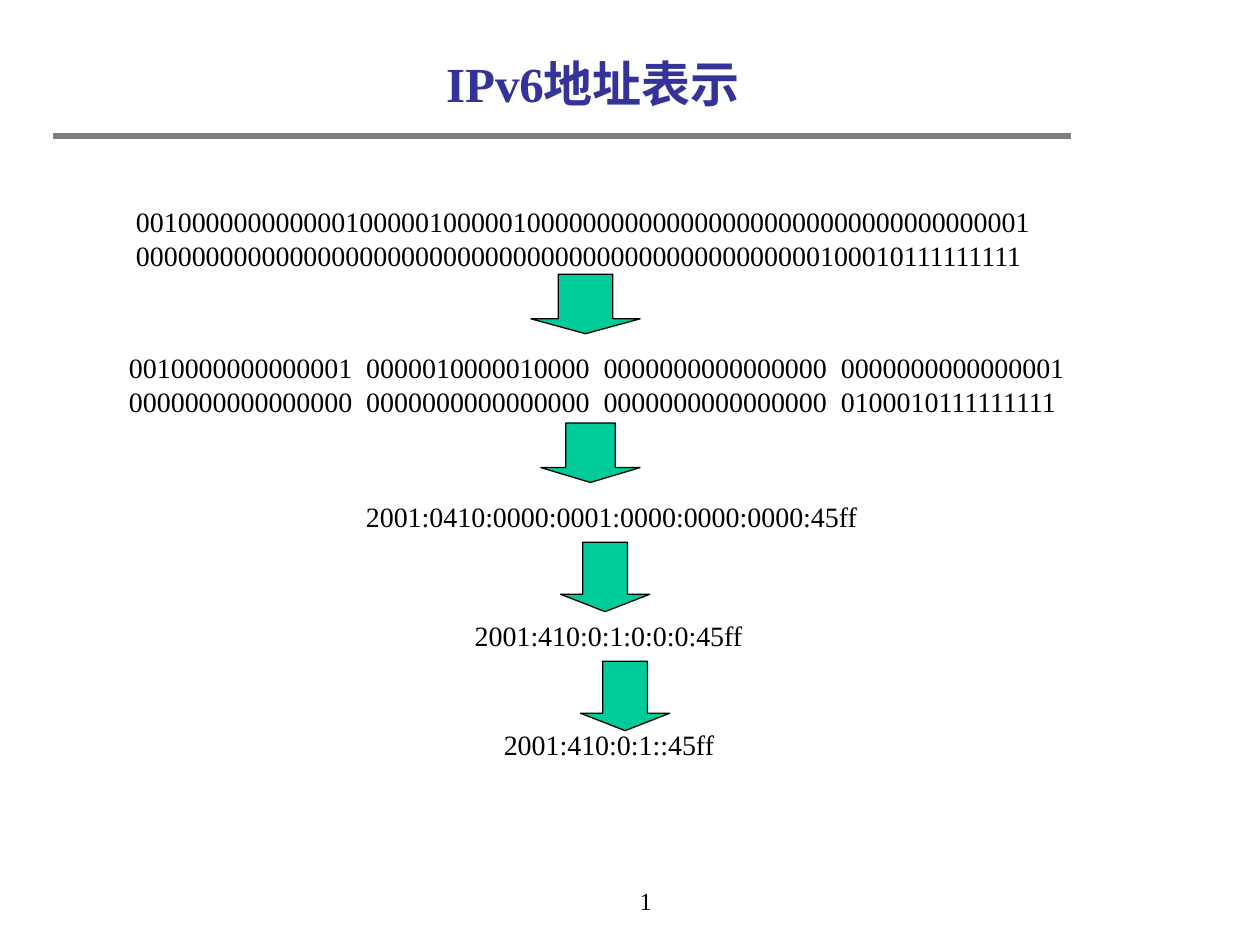
from lxml.etree import SubElement
from pptx import Presentation
from pptx.dml.color import RGBColor
from pptx.enum.shapes import MSO_CONNECTOR, MSO_SHAPE
from pptx.enum.text import MSO_ANCHOR, MSO_AUTO_SIZE, PP_ALIGN
from pptx.oxml import parse_xml
from pptx.oxml.ns import nsdecls, qn
from pptx.util import Pt

FONT = "Times New Roman"
BLACK = RGBColor(0x00, 0x00, 0x00)
NAVY = RGBColor(0x33, 0x33, 0x99)
GRAY = RGBColor(0x80, 0x80, 0x80)
GREEN = RGBColor(0x00, 0xCC, 0x99)

GROUP_PITCH = 135.6  # distance between the 16-bit groups
TEXT_HEIGHT = 26.6
TITLE_BOX = (59.8, 20.2, 558, 54)
RULE_BOX = (30.2, 77.8, 581.8, 0)
NUMBER_BOX = (255, 502.6, 228, 37.4)

# Each stage of the notation: box, lines of text
STAGES = [
    ((70.6, 113, 538.6, 46),
     ["0010000000000001000001000001000000000000000000000000000000000001",
      "0000000000000000000000000000000000000000000000000100010111111111"]),
    ((66.6, 196.6, 550, 46),
     ["0010000000000001\t0000010000010000\t0000000000000000\t0000000000000001",
      "0000000000000000\t0000000000000000\t0000000000000000\t0100010111111111"]),
    ((202, 281.5, 295.2, TEXT_HEIGHT), ["2001:0410:0000:0001:0000:0000:0000:45ff"]),
    ((264.2, 349.4, 167.8, TEXT_HEIGHT), ["2001:410:0:1:0:0:0:45ff"]),
    ((280.8, 411.8, 134.6, TEXT_HEIGHT), ["2001:410:0:1::45ff"]),
]
ARROW_BOXES = [
    (303.4, 156.7, 62.4, 34),
    (309.1, 241.7, 56.7, 34),
    (320.3, 309.8, 51, 39.7),
    (331.7, 377.8, 51, 39.7),
]


def set_font(paragraph, size, color=BLACK, bold=False):
    font = paragraph.font
    font.name, font.size, font.bold = FONT, Pt(size), bold
    font.color.rgb = color


def place_title(slide, box):
    title = slide.shapes.title
    title.left, title.top, title.width, title.height = map(Pt, box)
    frame = title.text_frame
    frame.auto_size = MSO_AUTO_SIZE.NONE
    frame.vertical_anchor = MSO_ANCHOR.MIDDLE
    frame.text = "IPv6地址表示"
    paragraph = frame.paragraphs[0]
    paragraph.alignment = PP_ALIGN.CENTER
    set_font(paragraph, 28, NAVY, bold=True)
    paragraph.runs[0].font._element.append(parse_xml(
        f'<a:effectLst {nsdecls("a")}><a:outerShdw dist="25400" dir="2700000">'
        '<a:srgbClr val="C0C0C0"/></a:outerShdw></a:effectLst>'))


def place_rule(slide, box):
    left, top, width, height = box
    rule = slide.shapes.add_connector(
        MSO_CONNECTOR.STRAIGHT, Pt(left), Pt(top), Pt(left + width), Pt(top + height))
    rule.line.color.rgb = GRAY
    rule.line.width = Pt(3)
    SubElement(rule._element.spPr, qn("a:effectLst"))


def add_group_tabs(paragraph):
    """Set one left tab stop for each group after the first."""
    tabs = SubElement(paragraph._p.get_or_add_pPr(), qn("a:tabLst"))
    for column in range(1, 4):
        SubElement(tabs, qn("a:tab"), pos=str(Pt(column * GROUP_PITCH)), algn="l")


def place_address(slide, box, lines):
    frame = slide.shapes.add_textbox(*map(Pt, box)).text_frame
    frame.word_wrap = True
    frame.vertical_anchor = MSO_ANCHOR.MIDDLE
    frame.text = "\n".join(lines)
    for paragraph in frame.paragraphs:
        paragraph.line_spacing = Pt(19.4)
        if "\t" in paragraph.text:
            add_group_tabs(paragraph)
        set_font(paragraph, 16)


def place_arrow(slide, box):
    arrow = slide.shapes.add_shape(MSO_SHAPE.DOWN_ARROW, *map(Pt, box))
    arrow.adjustments[0] = 0.5
    arrow.adjustments[1] = 0.25
    arrow.shadow.inherit = False
    arrow.fill.solid()
    arrow.fill.fore_color.rgb = GREEN
    arrow.line.color.rgb = BLACK
    arrow.line.width = Pt(0.75)


def place_slide_number(slide, box):
    frame = slide.shapes.add_textbox(*map(Pt, box)).text_frame
    frame.word_wrap = True
    frame.text = "1"
    paragraph = frame.paragraphs[0]
    paragraph.alignment = PP_ALIGN.CENTER
    set_font(paragraph, 14)


def main():
    presentation = Presentation()
    presentation.slide_width, presentation.slide_height = Pt(720), Pt(540)
    slide = presentation.slides.add_slide(presentation.slide_layouts[5])
    place_rule(slide, RULE_BOX)
    place_title(slide, TITLE_BOX)
    for box, lines in STAGES:
        place_address(slide, box, lines)
    for box in ARROW_BOXES:
        place_arrow(slide, box)
    place_slide_number(slide, NUMBER_BOX)
    presentation.save("out.pptx")


if __name__ == "__main__":
    main()
